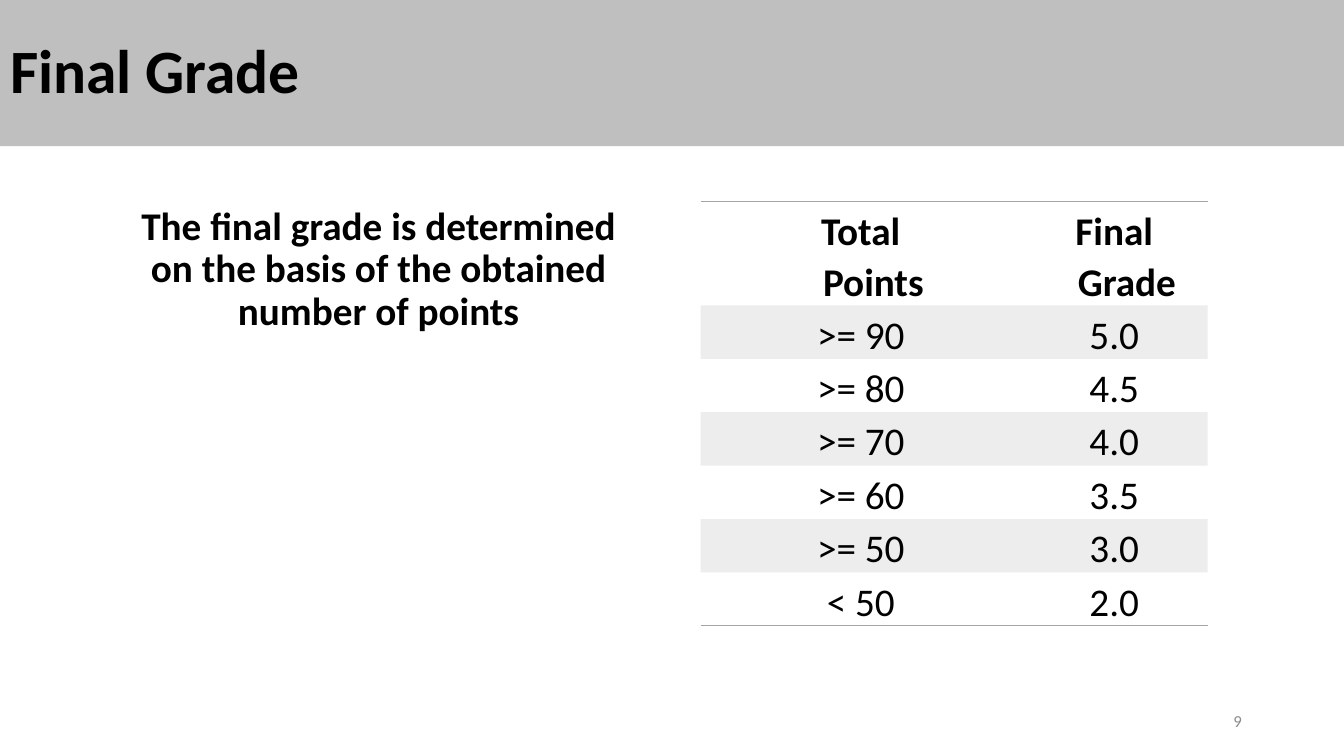
"""Build the final grade slide with its table of point thresholds."""
from dataclasses import dataclass
from typing import NamedTuple

from lxml import etree
from pptx import Presentation
from pptx.dml.color import RGBColor
from pptx.enum.text import MSO_ANCHOR, MSO_AUTO_SIZE, PP_ALIGN
from pptx.oxml.ns import qn
from pptx.util import Pt

LEFT, CENTER, RIGHT = PP_ALIGN.LEFT, PP_ALIGN.CENTER, PP_ALIGN.RIGHT
TOP, MIDDLE = MSO_ANCHOR.TOP, MSO_ANCHOR.MIDDLE
NO_FIT = MSO_AUTO_SIZE.NONE


@dataclass(frozen=True)
class Theme:
    """Hold the colours, font and type sizes."""
    font: str = "Calibri"
    ink: str = "000000"
    muted: str = "8C8C8C"
    banner: str = "BFBFBF"
    rule: str = "A5A5A5"
    band_alpha: int = 20
    title: int = 44
    text: int = 28
    small: int = 12


class Box(NamedTuple):
    """Place a shape in points."""
    x: float
    y: float
    w: float
    h: float


class GradeRow(NamedTuple):
    """Pair a points range with its grade."""
    points: str
    grade: str


THEME = Theme()
TITLE_BOX = Box(0, 0, 960, 104.4)
BODY_BOX = Box(66.24, 144, 408.24, 342.72)
NUMBER_BOX = Box(678.24, 500.4, 216, 28.8)
TABLE_BOX = Box(500.4, 144, 362.16, 266)
COLUMN_WIDTHS = (182.88, 179.28)
GRADES = (
    GradeRow("Total Points", "Final Grade"),
    GradeRow(">= 90", "5.0"),
    GradeRow(">= 80", "4.5"),
    GradeRow(">= 70", "4.0"),
    GradeRow(">= 60", "3.5"),
    GradeRow(">= 50", "3.0"),
    GradeRow("< 50", "2.0"),
)


def write(tf, text: str, *, size: int = THEME.text, color: str = THEME.ink,
          bold: bool = False, align=LEFT, spacing: float = 1.0,
          gap: float = 0, anchor=TOP):
    """Write one formatted paragraph and return it."""
    tf.word_wrap = True
    tf.vertical_anchor = anchor
    p = tf.paragraphs[0]
    p.alignment, p.line_spacing = align, spacing
    p.space_before = p.space_after = Pt(gap)
    for i, line in enumerate(text.split("\n")):
        if i:
            p.add_line_break()
        r = p.add_run()
        r.text = line
        r.font.name, r.font.size, r.font.bold = THEME.font, Pt(size), bold
        r.font.color.rgb = RGBColor.from_string(color)
    return p


def add_text(s, box: Box, text: str, **fmt) -> None:
    """Add a text box."""
    tf = s.shapes.add_textbox(*map(Pt, box)).text_frame
    write(tf, text, **fmt)


def add_title(s, text: str) -> None:
    """Format the title placeholder as a banner."""
    sp = s.shapes.title
    sp.left, sp.top, sp.width, sp.height = map(Pt, TITLE_BOX)
    sp.fill.solid()
    sp.fill.fore_color.rgb = RGBColor.from_string(THEME.banner)
    sp.text_frame.auto_size = NO_FIT
    write(sp.text_frame, text, size=THEME.title, bold=True, spacing=0.9,
          anchor=MIDDLE)


def add_solid(parent, color: str):
    """Append a solid fill and return its colour element."""
    fill = etree.SubElement(parent, qn("a:solidFill"))
    return etree.SubElement(fill, qn("a:srgbClr"), val=color)


def style_cell(cell, *, ruled: str, banded: bool) -> None:
    """Set the rules and the band of a cell."""
    tc_pr = cell._tc.get_or_add_tcPr()
    for side in "LRTB":
        ln = etree.SubElement(tc_pr, qn(f"a:ln{side}"), w=str(Pt(1)))
        if side in ruled:
            add_solid(ln, THEME.rule)
        else:
            etree.SubElement(ln, qn("a:noFill"))
    if banded:
        clr = add_solid(tc_pr, THEME.rule)
        etree.SubElement(clr, qn("a:alpha"), val=str(THEME.band_alpha * 1000))
    else:
        cell.fill.background()


def add_grades(s, rows: tuple[GradeRow, ...]) -> None:
    """Add the table of grades."""
    frame = s.shapes.add_table(len(rows), len(COLUMN_WIDTHS),
                               *map(Pt, TABLE_BOX))
    table = frame.table
    table.horz_banding = False
    for column, width in zip(table.columns, COLUMN_WIDTHS):
        column.width = Pt(width)
    for i, row in enumerate(rows):
        ruled = "TB" if i == 0 else "B" if i == len(rows) - 1 else ""
        for j, text in enumerate(row):
            cell = table.cell(i, j)
            cell.margin_left = cell.margin_right = Pt(15.12)
            cell.margin_top, cell.margin_bottom = Pt(2.16), Pt(0)
            p = write(cell.text_frame, text, bold=i == 0, align=CENTER,
                      spacing=1.07)
            p_pr = p._p.get_or_add_pPr()
            p_pr.set("marL", str(Pt(64)))
            p_pr.set("indent", str(Pt(-18)))
            style_cell(cell, ruled=ruled, banded=i % 2 == 1)


def main() -> None:
    """Build and save the slide."""
    prs = Presentation()
    prs.slide_width, prs.slide_height = Pt(960), Pt(540)
    s = prs.slides.add_slide(prs.slide_layouts[5])
    add_title(s, "Final Grade")
    add_text(s, BODY_BOX,
             "The final grade is determined\n"
             "on the basis of the obtained number of points",
             bold=True, align=CENTER, spacing=0.9, gap=12)
    add_text(s, NUMBER_BOX, "9", size=THEME.small, color=THEME.muted,
             align=RIGHT, anchor=MIDDLE)
    add_grades(s, GRADES)
    prs.save("out.pptx")


if __name__ == "__main__":
    main()
